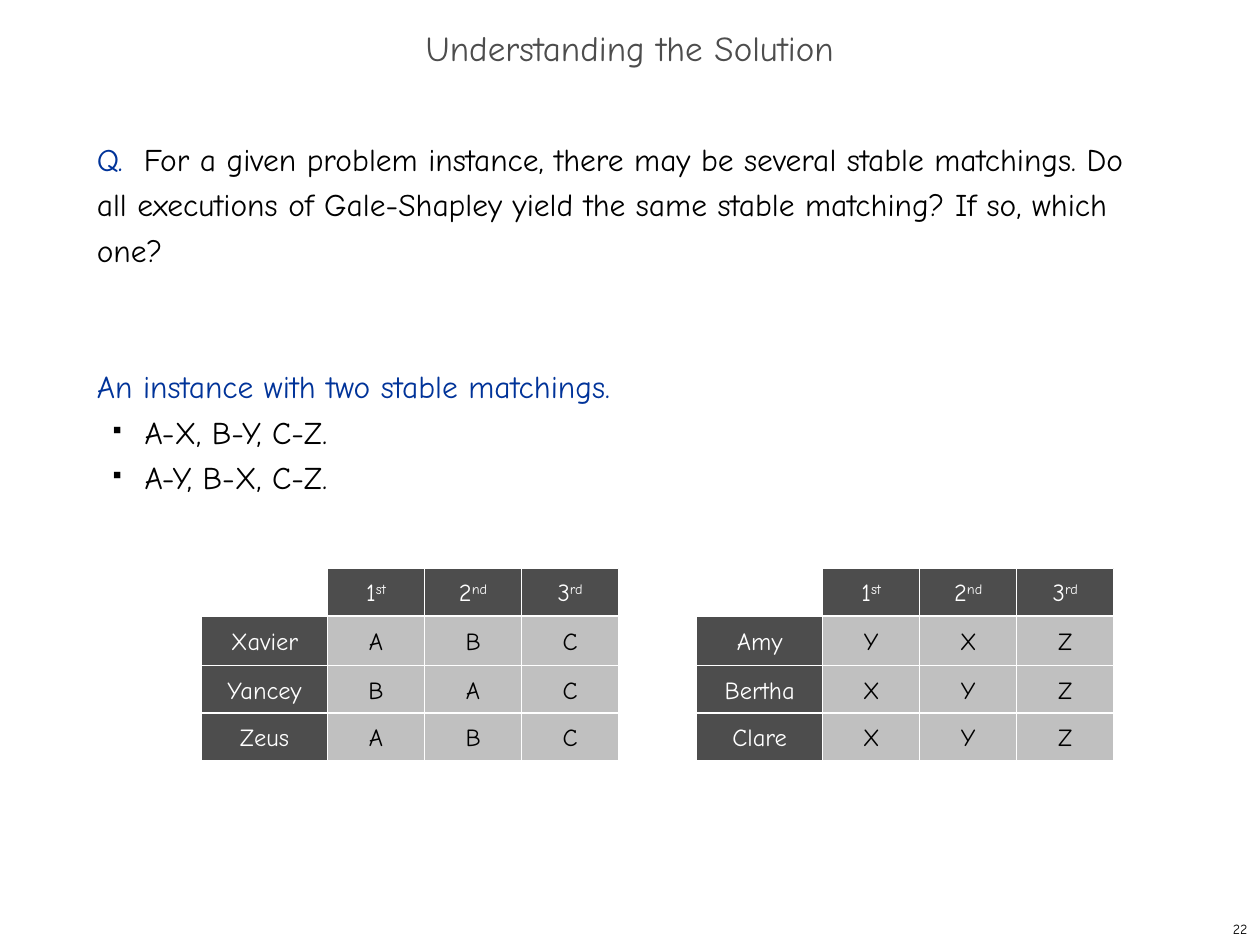
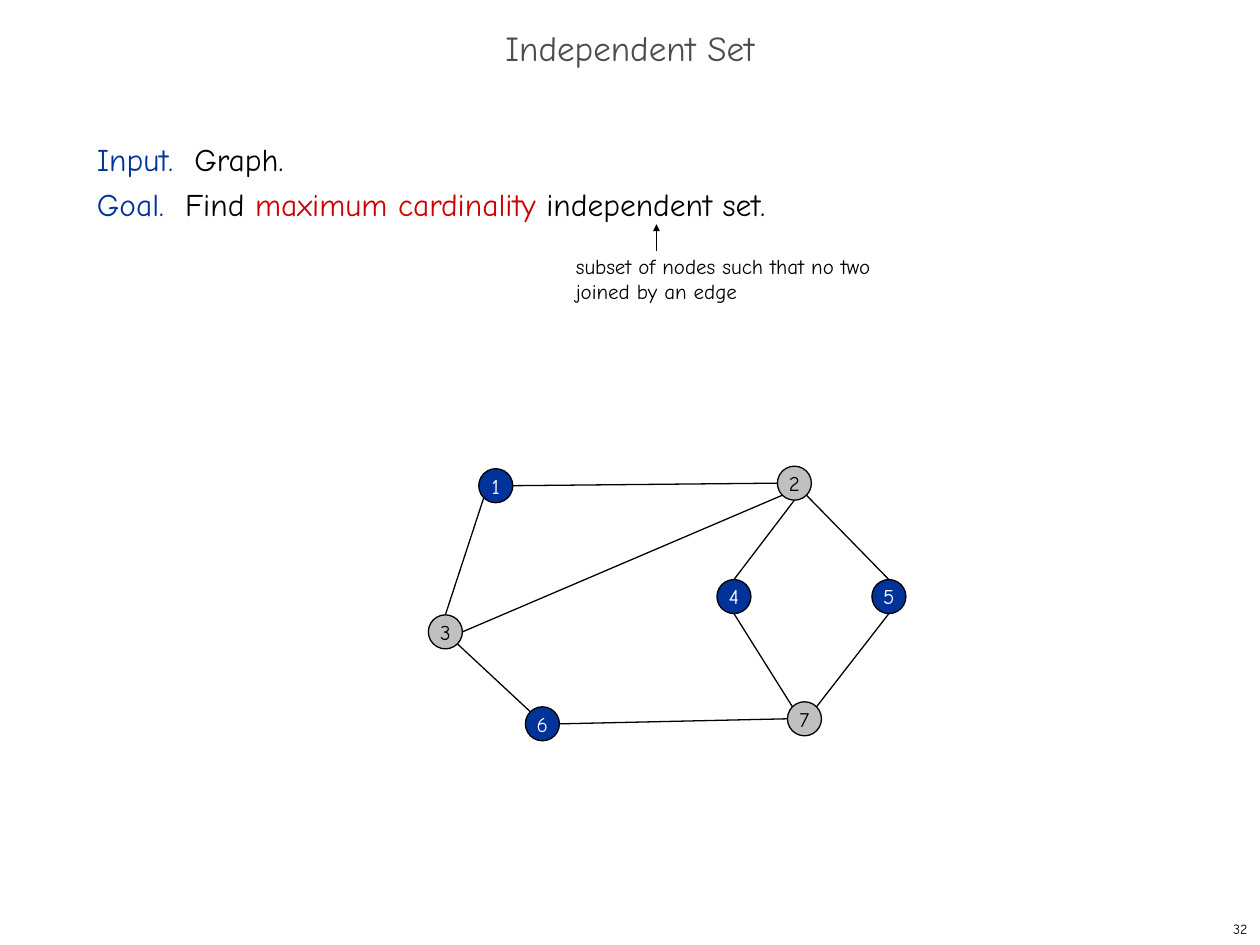
"""Build two slides on stable matchings and independent sets."""
from math import cos, pi, sin
from lxml import etree
from pptx import Presentation
from pptx.dml.color import RGBColor
from pptx.enum import shapes, text
from pptx.oxml import ns
from pptx.util import Inches, Pt

FONT = "Comic Neue"
HUES = {"ink": "000000", "blue": "003399", "red": "CC0000",
        "dark": "4D4D4D", "grey": "C0C0C0", "white": "FFFFFF"}
RGB = {name: RGBColor.from_string(code) for name, code in HUES.items()}
KIND = shapes.MSO_SHAPE
ALIGN = text.PP_ALIGN
MIDDLE = text.MSO_ANCHOR.MIDDLE


def put(par, parts, size, align=ALIGN.LEFT):
    par.alignment = align
    par.font.name, par.font.size = FONT, Pt(size)
    for words, hue in parts:
        run = par.add_run()
        run.text = words
        run.font.color.rgb = RGB[hue]
    return par


def block(slide, kind, box, fill, edge, parts, size):
    shape = slide.shapes.add_shape(kind, *[Inches(n) for n in box])
    shape.shadow.inherit = False
    shape.fill.solid()
    shape.fill.fore_color.rgb = RGB[fill]
    shape.line.color.rgb = RGB[edge]
    shape.line.width = Pt(0.75)
    frame = shape.text_frame
    frame.word_wrap = False
    frame.vertical_anchor = MIDDLE
    return put(frame.paragraphs[0], parts, size, ALIGN.CENTER)


deck = Presentation()
deck.slide_width, deck.slide_height = Inches(10), Inches(7.5)

pages = [
    ("Understanding the Solution", "22", [
        [("Q.  ", "blue"),
         ("For a given problem instance, there may be several stable matchings. "
          "Do all executions of Gale-Shapley yield the same stable matching? "
          "If so, which one?", "ink")],
        [("An instance with two stable matchings.", "blue")],
        [("A-X, B-Y, C-Z.", "ink")],
        [("A-Y, B-X, C-Z.", "ink")]]),
    ("Independent Set", "32", [
        [("Input.  ", "blue"), ("Graph.", "ink")],
        [("Goal.  ", "blue"), ("Find ", "ink"), ("maximum cardinality", "red"),
         (" independent set.", "ink")]]),
]
slides, bodies = [], []
for name, number, rows in pages:
    slide = deck.slides.add_slide(deck.slide_layouts[5])
    title = slide.shapes.title
    title.left, title.top = Inches(0), Inches(0.17)
    title.width, title.height = Inches(10), Inches(0.5)
    title.text_frame.auto_size = text.MSO_AUTO_SIZE.NONE
    title.text_frame.vertical_anchor = MIDDLE
    put(title.text_frame.paragraphs[0], [(name, "dark")], 20, ALIGN.CENTER).line_spacing = 0.7

    foot = slide.shapes.add_textbox(
        Inches(7.92), Inches(7.25), Inches(2.08), Inches(0.25)).text_frame
    foot.word_wrap = True
    foot.vertical_anchor = MIDDLE
    put(foot.paragraphs[0], [(number, "ink")], 8, ALIGN.RIGHT)

    body = slide.shapes.add_textbox(
        Inches(0.67), Inches(1), Inches(8.58), Inches(5.92)).text_frame
    body.word_wrap = True
    for i, parts in enumerate(rows):
        par = body.add_paragraph() if i else body.paragraphs[0]
        put(par, parts, 18).line_spacing = Pt(26)
    slides.append(slide)
    bodies.append(body)

match, graph = slides
pars = bodies[0].paragraphs
pars[1].space_before = Pt(52)
for par in pars[2:]:
    props = par._p.get_or_add_pPr()
    props.set("marL", str(Inches(0.38)))
    props.set("indent", str(Inches(-0.25)))
    marks = [etree.Element(ns.qn("a:buSzPct"), val="35000"),
             etree.Element(ns.qn("a:buChar"), char="■")]
    spot = props.index(props.find(ns.qn("a:defRPr")))
    props[spot:spot] = marks

ranks = [("1", "st"), ("2", "nd"), ("3", "rd")]
prefs = [
    (1.6, [("Xavier", "ABC"), ("Yancey", "BAC"), ("Zeus", "ABC")]),
    (5.53, [("Amy", "YXZ"), ("Bertha", "XYZ"), ("Clare", "XYZ")]),
]
tops = [4.51, 4.89, 5.28, 5.66, 6.04]
cols = [0, 1, 1.77, 2.54, 3.31]
for left, people in prefs:
    table = [["", *ranks]] + [[who, *picks] for who, picks in people]
    for r, row in enumerate(table):
        for c, value in enumerate(row):
            if not value:
                continue
            head = r == 0 or c == 0
            box = (left + cols[c], tops[r], cols[c + 1] - cols[c], tops[r + 1] - tops[r])
            parts = value if r == 0 else [value]
            par = block(match, KIND.RECTANGLE, box, "dark" if head else "grey", "white",
                        [(part, "white" if head else "ink") for part in parts], 14)
            for run in par.runs[1:]:
                run._r.get_or_add_rPr().set("baseline", "30000")

SIZE = 0.27
nodes = {1: (3.8, 3.72), 2: (6.17, 3.7), 3: (3.4, 4.88), 4: (5.69, 4.6),
         5: (6.92, 4.6), 6: (4.17, 5.61), 7: (6.25, 5.57)}
chosen = {1, 4, 5, 6}
TOP, TL, LEFT, BL, BOTTOM, BR, RIGHT, TR = range(8)
edges = [
    (1, RIGHT, 2, LEFT), (1, BL, 3, TOP), (2, BL, 3, RIGHT),
    (2, BOTTOM, 4, TOP), (2, BR, 5, TOP), (4, BOTTOM, 7, TL),
    (5, BOTTOM, 7, TR), (3, BR, 6, TL), (6, RIGHT, 7, LEFT),
]
lines = [(5.21, 1.99, 5.21, 1.78)]
for a, out, b, into in edges:
    ends = []
    for node, site in ((a, out), (b, into)):
        x, y = nodes[node]
        turn = site * pi / 4
        ends += [x + SIZE / 2 * (1 - sin(turn)), y + SIZE / 2 * (1 - cos(turn))]
    lines.append(ends)
links = []
for ends in lines:
    link = graph.shapes.add_connector(
        shapes.MSO_CONNECTOR.STRAIGHT, *[Inches(n) for n in ends])
    link.line.color.rgb = RGB["ink"]
    link.line.width = Pt(0.75)
    etree.SubElement(link._element.spPr, ns.qn("a:effectLst"))
    links.append(link)
etree.SubElement(links[0].line._get_or_add_ln(), ns.qn("a:tailEnd"),
                 type="triangle", w="sm", len="sm")

for node, (x, y) in nodes.items():
    pick = node in chosen
    block(graph, KIND.OVAL, (x, y, SIZE, SIZE), "blue" if pick else "grey", "ink",
          [(str(node), "white" if pick else "ink")], 12)

note = graph.shapes.add_textbox(
    Inches(4.57), Inches(2.01), Inches(2.63), Inches(0.4)).text_frame
note.margin_left = note.margin_right = note.margin_top = note.margin_bottom = 0
note.word_wrap = False
par = note.paragraphs[0]
par.text = "subset of nodes such that no two \vjoined by an edge"
put(par, [], 12).font.color.rgb = RGB["ink"]

deck.save("out.pptx")
